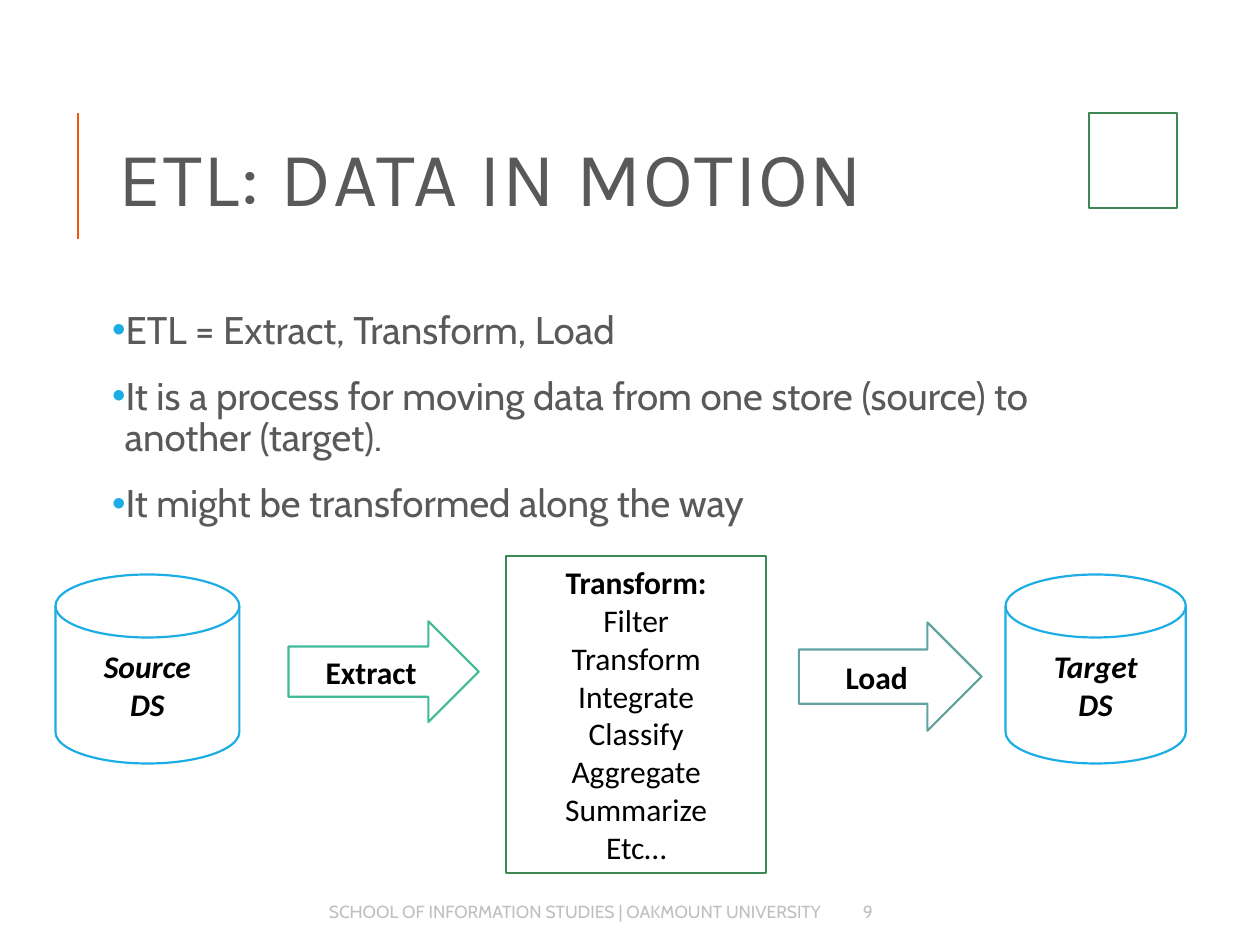
"""Build the slide that explains ETL as data in motion."""
from lxml.etree import SubElement
from pptx import Presentation
from pptx.dml.color import RGBColor as Rgb
from pptx.enum.shapes import MSO_CONNECTOR as Conn, MSO_SHAPE as Geo
from pptx.enum.text import MSO_ANCHOR as Anchor, MSO_AUTO_SIZE as Fit, PP_ALIGN as Align
from pptx.oxml.ns import qn
from pptx.util import Pt

HUES = {
    "accent": "EE5612", "text": "595959", "foot": "BFBFBF", "black": "000000",
    "white": "FFFFFF", "blue": "1CADE4", "mint": "42BA97", "teal": "62A39F",
    "green": "3E8853",
}
POINTS = [
    "ETL = Extract, Transform, Load",
    "It is a process for moving data from one store (source) to another (target).",
    "It might be transformed along the way",
]
STEPS = ["Transform:", "Filter", "Transform", "Integrate", "Classify",
         "Aggregate", "Summarize", "Etc…"]
FLOW = [
    (Geo.FLOWCHART_MAGNETIC_DISK, (31.7, 328.3, 105.1, 108), "blue", ["Source\nDS"], True),
    (Geo.FLOWCHART_MAGNETIC_DISK, (574.6, 328.3, 103, 108), "blue", ["Target\nDS"], True),
    (Geo.RIGHT_ARROW, (164.9, 355, 108.7, 57.6), "mint", ["Extract"], False),
    (Geo.RIGHT_ARROW, (456.5, 355.7, 104.4, 61.9), "teal", ["Load"], False),
    (Geo.RECTANGLE, (289.4, 317.5, 148.3, 181.4), "green", STEPS, False),
    (Geo.RECTANGLE, (622.1, 64.8, 50.4, 54), "green", [], False),
]


def hue(name):
    """Return the named colour."""
    return Rgb.from_string(HUES[name])


def write(shape, lines, font="Cabin", size=10, color="text", align=Align.LEFT,
          anchor=Anchor.MIDDLE, bold=0, italic=False, lead=None, before=0, after=0):
    """Fill a shape with formatted lines, the first few of them bold."""
    frame = shape.text_frame
    frame.word_wrap, frame.auto_size = True, Fit.NONE
    frame.vertical_anchor = anchor
    for i, line in enumerate(lines):
        para = frame.add_paragraph() if i else frame.paragraphs[0]
        para.text = line
        para.alignment, para.line_spacing = align, lead
        para.space_before, para.space_after = Pt(before), Pt(after)
        for run in para.runs:
            run.font.name, run.font.size = font, Pt(size)
            run.font.bold, run.font.italic = i < bold, italic
            run.font.color.rgb = hue(color)


def label(slide, area, lines, **style):
    """Add a text box and return it."""
    box = slide.shapes.add_textbox(*map(Pt, area))
    write(box, lines, **style)
    return box


def title(slide, text):
    """Place the title and the rule to its left."""
    head = slide.shapes.title
    head.left, head.top, head.width, head.height = map(Pt, (60.5, 46.1, 573.8, 118.1))
    write(head, [text], font="Karla", size=44, lead=0.8)
    for prop in head.element.iter(qn("a:rPr")):
        prop.set("spc", "100")
    rule = slide.shapes.add_connector(Conn.STRAIGHT, *map(Pt, (44.6, 136.8, 44.6, 64.8)))
    rule.line.color.rgb, rule.line.width = hue("accent"), Pt(1.5)
    SubElement(rule.element.spPr, qn("a:effectLst"))


def bullets(slide, lines):
    """Add the bulleted body text."""
    box = label(slide, (60.5, 174.2, 573.8, 143.3), lines, size=22,
                anchor=Anchor.TOP, lead=0.9, before=12, after=2)
    frame, gap = box.text_frame, Pt(3.6)
    frame.margin_left = frame.margin_right = gap
    frame.margin_top = frame.margin_bottom = gap
    for prop in box.element.iter(qn("a:pPr")):
        prop.set("marL", str(Pt(7.2)))
        prop.set("indent", str(-Pt(7.2)))
        tint = SubElement(prop, qn("a:buClr"))
        SubElement(tint, qn("a:srgbClr"), val=HUES["blue"])
        SubElement(prop, qn("a:buFont"), typeface="Arial")
        SubElement(prop, qn("a:buChar"), char="•")


def node(slide, kind, area, color, lines, italic):
    """Add one outlined shape of the flow."""
    shape = slide.shapes.add_shape(kind, *map(Pt, area))
    shape.shadow.inherit = False
    shape.fill.solid()
    shape.fill.fore_color.rgb = hue("white")
    shape.line.color.rgb, shape.line.width = hue(color), Pt(1.25)
    write(shape, lines, font="Calibri", size=18, color="black",
          align=Align.CENTER, bold=1, italic=italic)


def main():
    """Build and save the slide."""
    deck = Presentation()
    deck.slide_width, deck.slide_height = Pt(720), Pt(540)
    slide = deck.slides.add_slide(deck.slide_layouts[5])
    title(slide, "ETL: DATA IN MOTION")
    bullets(slide, POINTS)
    label(slide, (136.1, 509.8, 339.8, 21.6),
          ["SCHOOL OF INFORMATION STUDIES | OAKMOUNT UNIVERSITY"],
          color="foot", align=Align.RIGHT)
    label(slide, (486, 509.8, 65.5, 21.6), ["9"], color="foot")
    for item in FLOW:
        node(slide, *item)
    deck.save("out.pptx")


if __name__ == "__main__":
    main()
